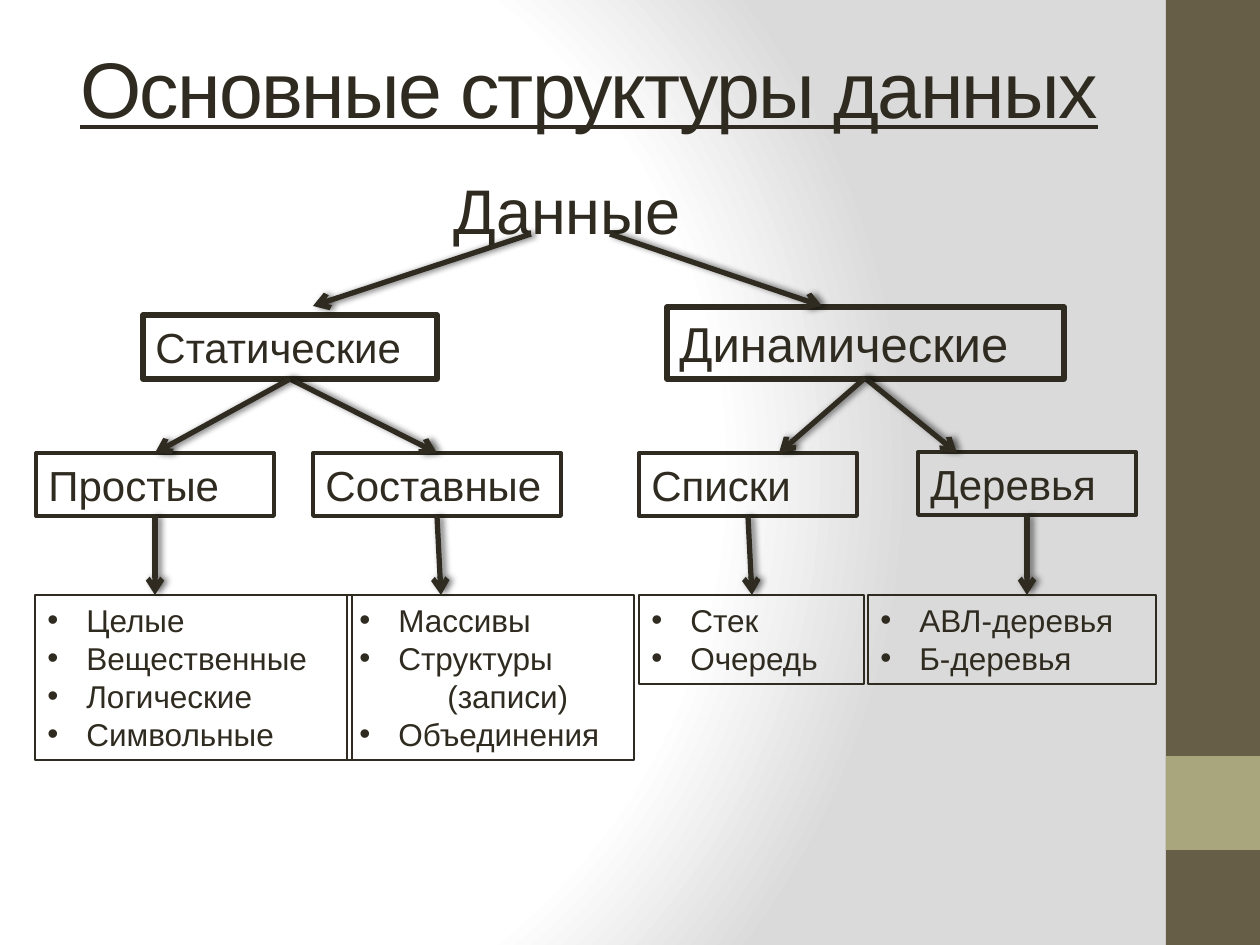
"""Build a slide with a tree of the basic data structures."""
from dataclasses import dataclass

from lxml import etree
from pptx import Presentation
from pptx import util as u
from pptx.dml.color import RGBColor
from pptx.enum import shapes, text
from pptx.oxml import parse_xml
from pptx.oxml.ns import nsdecls, qn

COLORS = {
    "ink": "2F2B20",
    "sidebar": "675E47",
    "accent": "A9A57C",
    "light": "FFFFFF",
    "shade": "DADADA",
    "shadow": "000000",
}
FONT = "Arial"
BULLET_INDENT = 39
CONTINUATION_INDENT = 88


@dataclass(frozen=True)
class Category:
    label: str
    left: int
    top: int
    width: int
    height: int
    size: int = 24
    border: float = 2.25


@dataclass(frozen=True)
class Examples:
    lines: tuple[str, ...]
    left: int
    width: int
    height: int
    top: int = 595


@dataclass(frozen=True)
class Arrow:
    start: tuple[int, int]
    end: tuple[int, int]


CATEGORIES = (
    Category("Данные", 441, 165, 338, 89, 36, 0),
    Category("Статические", 143, 315, 294, 64, 24, 3),
    Category("Динамические", 667, 307, 397, 72, 28, 3),
    Category("Простые", 36, 453, 238, 63),
    Category("Составные", 313, 453, 248, 63),
    Category("Списки", 639, 453, 218, 63),
    Category("Деревья", 918, 452, 218, 63),
)
EXAMPLES = (
    Examples(("Целые", "Вещественные", "Логические", "Символьные"), 35, 317, 165),
    Examples(("Стек", "Очередь"), 639, 225, 89),
    Examples(("АВЛ-деревья", "Б-деревья"), 868, 288, 89),
    Examples(("Массивы", "Структуры", "(записи)", "Объединения"), 347, 287, 165),
)
ARROWS = (
    Arrow((865, 378), (957, 453)),
    Arrow((865, 378), (779, 453)),
    Arrow((290, 379), (437, 453)),
    Arrow((290, 379), (155, 453)),
    Arrow((155, 516), (155, 595)),
    Arrow((437, 516), (441, 595)),
    Arrow((748, 516), (752, 595)),
    Arrow((1027, 516), (1027, 595)),
    Arrow((531, 234), (313, 306)),
    Arrow((610, 234), (822, 306)),
)


def px(length: int) -> u.Emu:
    """Convert picture pixels to EMU."""
    return u.Emu(round(length * 914400 / 126))


def rgb(name: str) -> RGBColor:
    """Look up a palette colour."""
    return RGBColor.from_string(COLORS[name])


def style_text(frame, size: int) -> None:
    """Apply the common font to every run of a frame."""
    for paragraph in frame.paragraphs:
        for run in paragraph.runs:
            run.font.name = FONT
            run.font.size = u.Pt(size)
            run.font.color.rgb = rgb("ink")


def paint_background(slide) -> None:
    """Fill the background with a circular gradient."""
    slide.background.fill.gradient()
    old_fill = slide.element.find(".//" + qn("a:gradFill"))
    stops = "".join(
        f'<a:gs pos="{position}"><a:srgbClr val="{COLORS[name]}"/></a:gs>'
        for position, name in ((0, "light"), (75000, "light"), (100000, "shade"))
    )
    gradient = parse_xml(
        f'<a:gradFill {nsdecls("a")} rotWithShape="1"><a:gsLst>{stops}</a:gsLst>'
        '<a:path path="circle"><a:fillToRect l="20000" t="50000" r="100000" b="50000"/>'
        "</a:path></a:gradFill>"
    )
    old_fill.getparent().replace(old_fill, gradient)


def add_band(slide, top: int, height: int, color: str) -> None:
    """Draw one band at the right edge."""
    band = slide.shapes.add_shape(
        shapes.MSO_SHAPE.RECTANGLE, px(1166), px(top), px(94), px(height)
    )
    band.shadow.inherit = False
    band.fill.solid()
    band.fill.fore_color.rgb = rgb(color)
    band.line.fill.background()


def set_title(slide) -> None:
    """Place and format the slide title."""
    title = slide.shapes.title
    title.left, title.top, title.width, title.height = map(px, (64, 8, 1050, 158))
    frame = title.text_frame
    frame.text = "Основные структуры данных"
    frame.auto_size = text.MSO_AUTO_SIZE.NONE
    frame.vertical_anchor = text.MSO_ANCHOR.MIDDLE
    frame.paragraphs[0].alignment = text.PP_ALIGN.CENTER
    style_text(frame, 45)
    font = frame.paragraphs[0].runs[0].font
    font.underline = True
    font._element.set("spc", "-100")


def add_box(slide, part: Category | Examples, content: str, size: int, border: float):
    """Draw a text box with an optional border."""
    box = slide.shapes.add_textbox(
        px(part.left), px(part.top), px(part.width), px(part.height)
    )
    box.text_frame.word_wrap = True
    box.text_frame.auto_size = text.MSO_AUTO_SIZE.SHAPE_TO_FIT_TEXT
    box.text_frame.text = content
    style_text(box.text_frame, size)
    if border:
        box.line.color.rgb = rgb("ink")
        box.line.width = u.Pt(border)
    return box


def add_examples(slide, examples: Examples) -> None:
    """Draw a bulleted list; a line in brackets continues the one above."""
    box = add_box(slide, examples, "\n".join(examples.lines), 18, 0.75)
    for paragraph in box.text_frame.paragraphs:
        properties = paragraph._p.get_or_add_pPr()
        if paragraph.text.startswith("("):
            properties.set("marL", str(px(CONTINUATION_INDENT)))
            continue
        properties.set("marL", str(px(BULLET_INDENT)))
        properties.set("indent", str(-px(BULLET_INDENT)))
        etree.SubElement(properties, qn("a:buFont"), typeface=FONT)
        etree.SubElement(properties, qn("a:buChar"), char="•")


def add_arrow(slide, arrow: Arrow) -> None:
    """Draw a shadowed arrow."""
    link = slide.shapes.add_connector(
        shapes.MSO_CONNECTOR.STRAIGHT, *map(px, arrow.start + arrow.end)
    )
    link.line.color.rgb = rgb("ink")
    link.line.width = u.Pt(3)
    etree.SubElement(link.line._get_or_add_ln(), qn("a:tailEnd"), type="arrow")
    link._element.spPr.append(parse_xml(
        f'<a:effectLst {nsdecls("a")}><a:outerShdw blurRad="{u.Pt(4)}" dist="{u.Pt(2)}" '
        f'dir="0" rotWithShape="0"><a:srgbClr val="{COLORS["shadow"]}">'
        '<a:alpha val="60000"/></a:srgbClr></a:outerShdw></a:effectLst>'
    ))


def main() -> None:
    """Assemble and save the slide."""
    deck = Presentation()
    deck.slide_width, deck.slide_height = px(1260), px(945)
    slide = deck.slides.add_slide(deck.slide_layouts[5])
    paint_background(slide)
    add_band(slide, 0, 945, "sidebar")
    add_band(slide, 756, 94, "accent")
    set_title(slide)
    for category in CATEGORIES:
        add_box(slide, category, category.label, category.size, category.border)
    for examples in EXAMPLES:
        add_examples(slide, examples)
    for arrow in ARROWS:
        add_arrow(slide, arrow)
    deck.save("out.pptx")


main()
